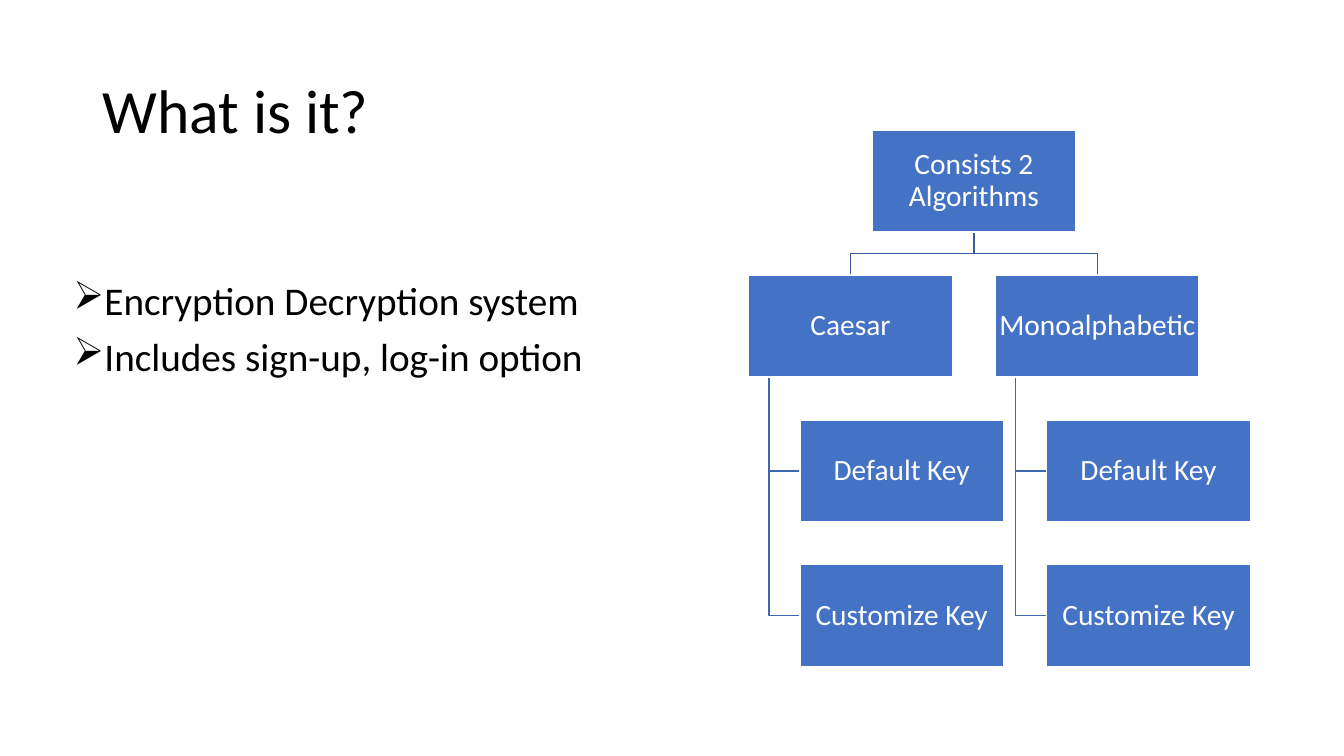
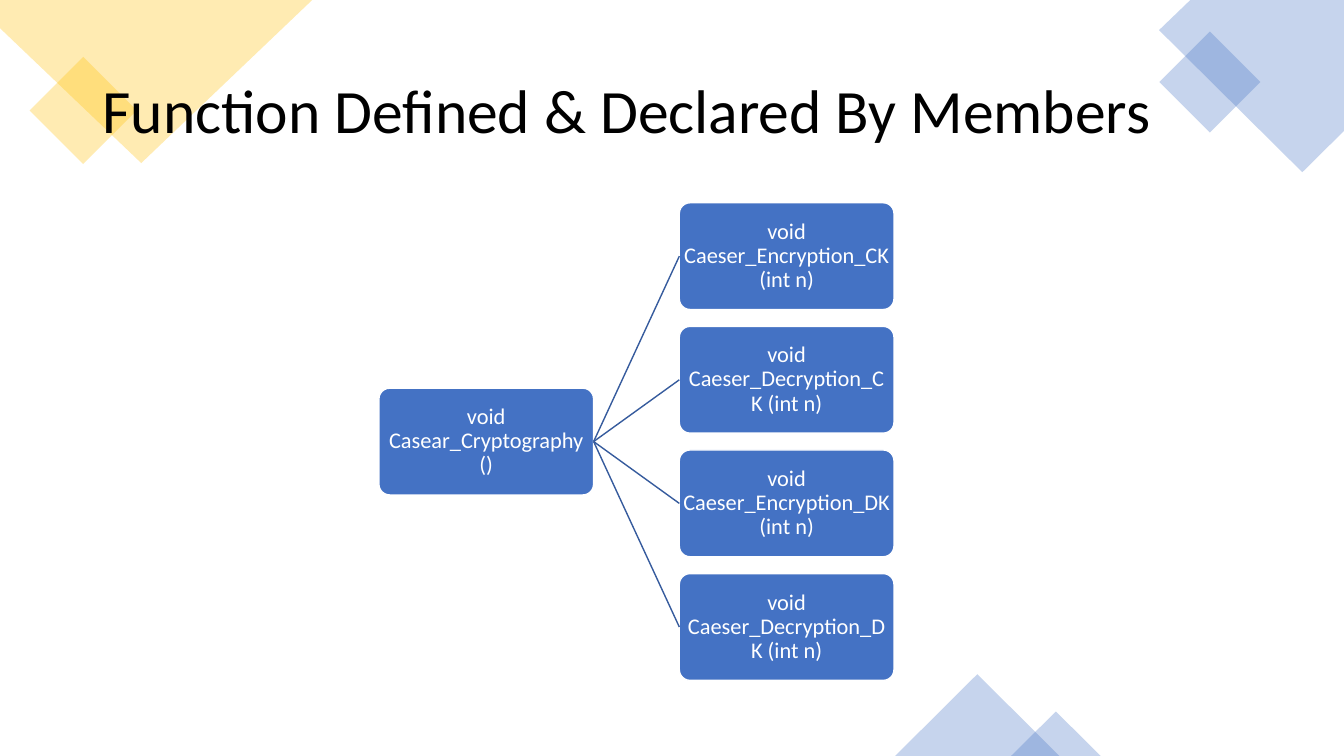
"""Build two slides on an encryption program: its outline and its functions."""
from lxml.etree import SubElement
from pptx import Presentation
from pptx.dml.color import RGBColor
from pptx.enum.shapes import MSO_CONNECTOR, MSO_SHAPE
from pptx.enum.text import MSO_ANCHOR, MSO_AUTO_SIZE, PP_ALIGN
from pptx.oxml.ns import qn
from pptx.util import Cm, Pt

BLACK = RGBColor(0x00, 0x00, 0x00)
WHITE = RGBColor(0xFF, 0xFF, 0xFF)
BLUE = RGBColor(0x44, 0x72, 0xC4)
GOLD = RGBColor(0xFF, 0xC0, 0x00)
DARK_LINK = RGBColor(0x36, 0x5B, 0x9D)
LIGHT_LINK = RGBColor(0x3E, 0x67, 0xB2)

TITLE_PLACE = {"left": Cm(2.33), "top": Cm(1.01), "width": Cm(29.21), "height": Cm(3.68)}
TITLE_FRAME = {"vertical_anchor": MSO_ANCHOR.MIDDLE, "auto_size": MSO_AUTO_SIZE.NONE, "word_wrap": True}
BODY_FRAME = {"vertical_anchor": MSO_ANCHOR.TOP, "word_wrap": True}
BOX_FRAME = {"vertical_anchor": MSO_ANCHOR.MIDDLE, "word_wrap": True}
BOX_FRAME |= {f"margin_{side}": Cm(0.02) for side in ("left", "right", "top", "bottom")}


def write_text(frame, lines, size, color, alignment, frame_format):
    """Fill a text frame with one formatted paragraph per line."""
    for name, value in frame_format.items():
        setattr(frame, name, value)
    frame.text = "\n".join(lines)
    for paragraph in frame.paragraphs:
        for name, value in {"alignment": alignment, "line_spacing": 0.9}.items():
            setattr(paragraph, name, value)
        for run in paragraph.runs:
            for name, value in {"name": "Calibri", "size": Pt(size)}.items():
                setattr(run.font, name, value)
            run.font.color.rgb = color


def add_box(slide, preset, left, top, width, height, text, size):
    """Add a blue diagram box with centred white text, measured in centimetres."""
    box = slide.shapes.add_shape(preset, Cm(left), Cm(top), Cm(width), Cm(height))
    box.shadow.inherit = False
    box.fill.solid()
    box.fill.fore_color.rgb = BLUE
    box.line.color.rgb = WHITE
    box.line.width = Pt(1)
    write_text(box.text_frame, [text], size, WHITE, PP_ALIGN.CENTER, BOX_FRAME)
    return box


presentation = Presentation()
presentation.slide_width = Cm(33.87)
presentation.slide_height = Cm(19.05)

slides = []
for title_text in ("What is it?", "Function Defined & Declared By Members"):
    slide = presentation.slides.add_slide(presentation.slide_layouts[5])
    title = slide.shapes.title
    for name, value in TITLE_PLACE.items():
        setattr(title, name, value)
    write_text(title.text_frame, [title_text], 44, BLACK, PP_ALIGN.LEFT, TITLE_FRAME)
    slides.append(slide)
outline_slide, function_slide = slides

body = outline_slide.shapes.add_textbox(Cm(1.6), Cm(6.96), Cm(16), Cm(12.09))
points = ["Encryption Decryption system", "Includes sign-up, log-in option"]
write_text(body.text_frame, points, 28, BLACK, PP_ALIGN.LEFT, BODY_FRAME)
for index, paragraph in enumerate(body.text_frame.paragraphs):
    paragraph.space_before = Pt(10 if index else 0)
    properties = paragraph._p.get_or_add_pPr()
    properties.set("marL", str(Cm(0.64)))
    properties.set("indent", str(-Cm(0.64)))
    SubElement(properties, qn("a:buChar")).set("char", "➢")

box_width, box_height = 5.13, 2.57
tree_left, tree_top = 18.87, 3.28
column_step, row_step = 6.22, 3.65
child_indent, spine_indent = 1.29, 0.51
root_left = tree_left + column_step / 2
root_center = root_left + box_width / 2
root_bottom = tree_top + box_height
branch_top = tree_top + row_step
elbow_y = (root_bottom + branch_top) / 2

tree_boxes = [(root_left, tree_top, "Consists 2 Algorithms")]
tree_links = []
for column, branch in enumerate(("Caesar", "Monoalphabetic")):
    left = tree_left + column * column_step
    center = left + box_width / 2
    tree_boxes.append((left, branch_top, branch))
    tree_links.append((DARK_LINK, [(root_center, root_bottom), (root_center, elbow_y),
                                   (center, elbow_y), (center, branch_top)]))
    for row, key in enumerate(("Default Key", "Customize Key"), start=1):
        top = branch_top + row * row_step
        middle = top + box_height / 2
        spine = left + spine_indent
        tree_boxes.append((left + child_indent, top, key))
        tree_links.append((LIGHT_LINK, [(spine, branch_top + box_height), (spine, middle),
                                        (left + child_indent, middle)]))

for color, corners in tree_links:
    start, *others = [(Cm(x), Cm(y)) for x, y in corners]
    builder = outline_slide.shapes.build_freeform(*start)
    builder.add_line_segments(others, close=False)
    link = builder.convert_to_shape()
    link.shadow.inherit = False
    link.fill.background()
    link.line.color.rgb = color
    link.line.width = Pt(1)
for left, top, text in tree_boxes:
    add_box(outline_slide, MSO_SHAPE.RECTANGLE, left, top, box_width, box_height, text, 21)

decorations = []
for color, corners in (
    (GOLD, [(0, 0), (7.87, 0), (3.56, 4.11), (0, 0.71)]),
    (BLUE, [(30, 0), (33.87, 0), (33.87, 3.3), (32.82, 4.34), (29.21, 0.76)]),
):
    start, *others = [(Cm(x), Cm(y)) for x, y in corners]
    builder = function_slide.shapes.build_freeform(*start)
    builder.add_line_segments(others, close=True)
    decorations.append((builder.convert_to_shape(), color))
for preset, color, rotation, *place in (
    (MSO_SHAPE.RECTANGLE, GOLD, 45, 1.14, 1.83, 1.91, 1.91),
    (MSO_SHAPE.RECTANGLE, BLUE, 45, 29.59, 1.17, 1.8, 1.8),
    (MSO_SHAPE.ISOSCELES_TRIANGLE, BLUE, 0, 22.56, 16.99, 4.14, 2.06),
    (MSO_SHAPE.ISOSCELES_TRIANGLE, BLUE, 0, 25.48, 17.93, 2.26, 1.12),
):
    shape = function_slide.shapes.add_shape(preset, *map(Cm, place))
    shape.rotation = rotation
    decorations.append((shape, color))
for shape, color in decorations:
    shape.shadow.inherit = False
    shape.fill.solid()
    shape.fill.fore_color.rgb = color
    shape.line.fill.background()
    fill_color = shape.element.spPr.find(".//" + qn("a:srgbClr"))
    SubElement(fill_color, qn("a:alpha")).set("val", "30000")
title = function_slide.shapes.title.element
title.getparent().append(title)

function_size = (5.41, 2.69)
function_left, function_top, function_step = 17.12, 5.11, 3.115
functions = [f"void Caeser_{action}_{key} (int n)"
             for key in ("CK", "DK") for action in ("Encryption", "Decryption")]
caller_top = function_top + function_step * (len(functions) - 1) / 2
caller = add_box(function_slide, MSO_SHAPE.ROUNDED_RECTANGLE, 9.55, caller_top, *function_size,
                 "void Casear_Cryptography ()", 16)
caller.adjustments[0] = 0.1
for row, text in enumerate(functions):
    top = function_top + row * function_step
    box = add_box(function_slide, MSO_SHAPE.ROUNDED_RECTANGLE, function_left, top, *function_size, text, 16)
    box.adjustments[0] = 0.1
    connector = function_slide.shapes.add_connector(MSO_CONNECTOR.STRAIGHT, 0, 0, 0, 0)
    connector.begin_connect(caller, 3)
    connector.end_connect(box, 1)
    connector.line.color.rgb = DARK_LINK
    connector.line.width = Pt(1)
    SubElement(connector.element.spPr, qn("a:effectLst"))

presentation.save("out.pptx")
